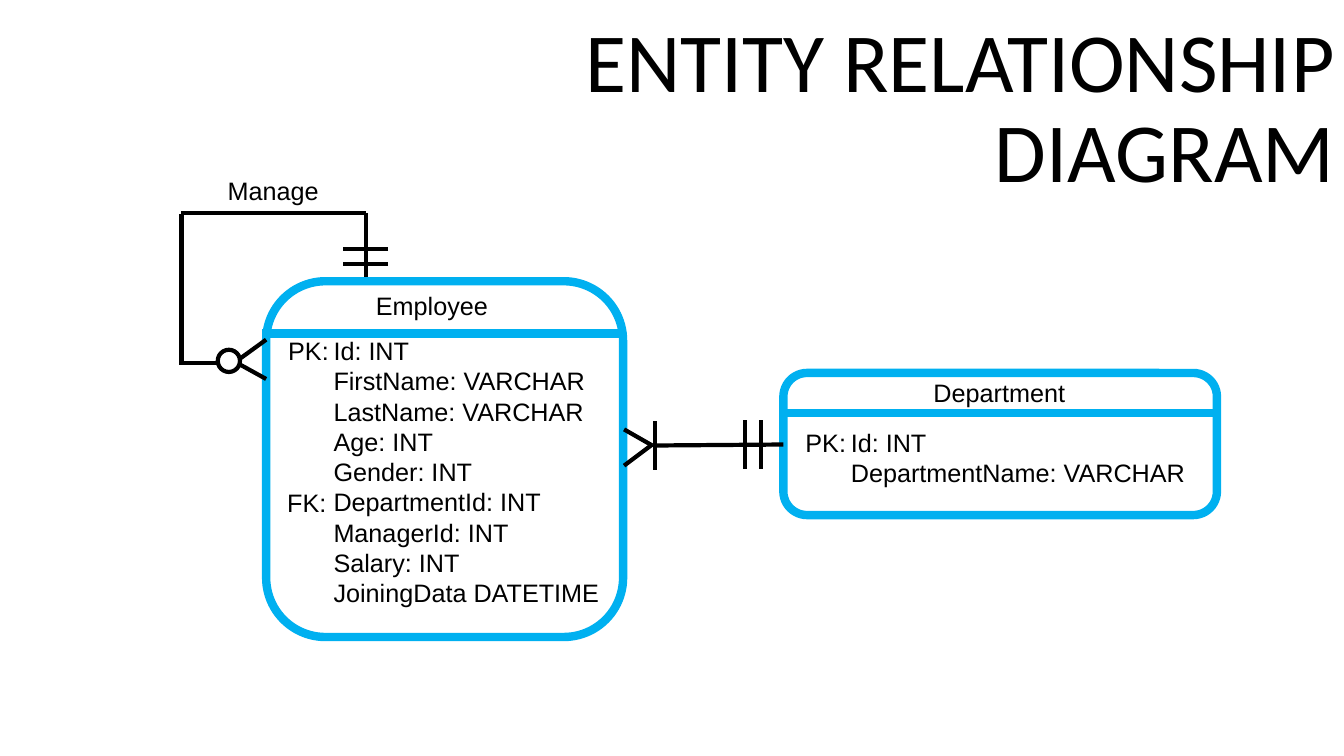
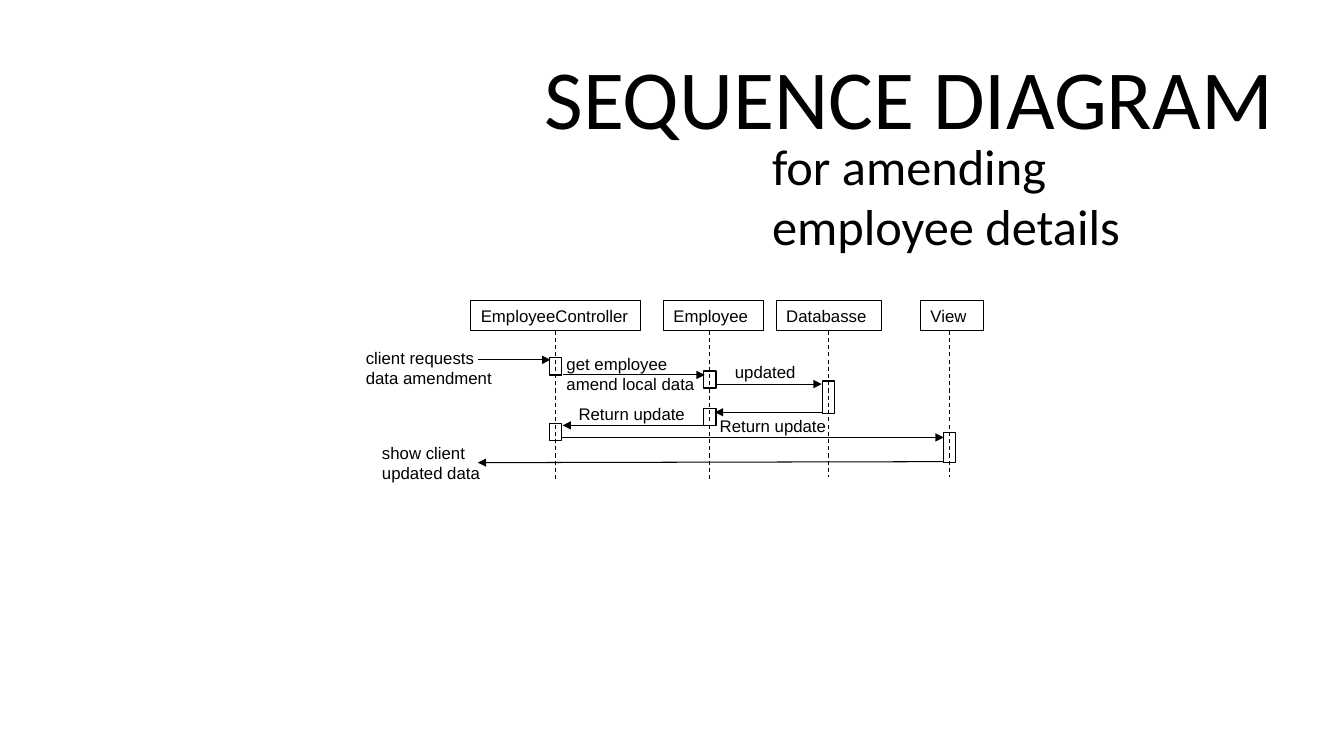
from pptx import Presentation
from pptx.dml.color import RGBColor
from pptx.enum import dml, shapes, text
from pptx.oxml import ns, xmlchemy as xml
from pptx.util import Inches, Pt

HUES = {"ink": "000000", "paper": "FFFFFF", "frame": "00B0F0"}
KIND = shapes.MSO_SHAPE
TITLE = {"font": "Calibri", "size": 60, "align": text.PP_ALIGN.RIGHT,
         "anchor": text.MSO_ANCHOR.MIDDLE, "space": 0.9, "grow": False}

# Entity: name, name spot, box, divider (left, right, top), keys, fields spot, fields
ENTITIES = [
    ("Employee", (3.63, 2.83, 1.32, 0.4), (2.64, 2.79, 3.54, 3.53), (2.6, 6.18, 3.31),
     [("PK:", (2.76, 3.28, 0.61, 0.4)), ("FK:", (2.75, 4.79, 0.59, 0.4))],
     (3.21, 3.28, 2.86, 2.83),
     ["Id: INT", "FirstName: VARCHAR", "LastName: VARCHAR", "Age: INT", "Gender: INT",
      "DepartmentId: INT", "ManagerId: INT", "Salary: INT", "JoiningData DATETIME"]),
    ("Department", (9.16, 3.69, 1.52, 0.4), (7.77, 3.7, 4.3, 1.41), (7.81, 12.06, 4.1),
     [("PK:", (7.89, 4.19, 0.61, 0.4))],
     (8.34, 4.19, 3.55, 1.01),
     ["Id: INT", "DepartmentName: VARCHAR"]),
]
MANAGE = [  # x1, y1, x2, y2
    (3.63, 2.75, 3.63, 2.11), (3.63, 2.11, 1.8, 2.11), (1.8, 3.58, 1.8, 2.12),
    (2.21, 3.6, 1.78, 3.6), (2.64, 3.37, 2.35, 3.58), (2.64, 3.76, 2.35, 3.6),
    (3.85, 2.47, 3.4, 2.47), (3.85, 2.62, 3.4, 2.62),
]
BELONGS = [
    (7.77, 4.41, 6.49, 4.42), (6.47, 4.41, 6.19, 4.62), (6.47, 4.42, 6.19, 4.26),
    (6.5, 4.18, 6.5, 4.66), (7.39, 4.17, 7.39, 4.65), (7.55, 4.17, 7.55, 4.65),
]

# Actor: name, head left, head width, lifeline x, lifeline end, bars (top, height)
ACTORS = [
    ("EmployeeController", 4.67, 1.68, 5.51, 4.78, [(3.55, 0.17), (4.2, 0.17)]),
    ("Employee", 6.58, 0.99, 7.04, 4.78, [(3.68, 0.17), (4.05, 0.17)]),
    ("Databasse", 7.7, 1.04, 8.22, 4.73, [(3.78, 0.32)]),
    ("View", 9.13, 0.63, 9.42, 4.73, [(4.29, 0.3)]),
]
HEAD_TOP, HEAD_H, BAR_W = 2.98, 0.3, 0.12
CALLS = [
    (4.74, 3.57, 5.46, 3.57), (5.58, 3.72, 6.99, 3.72), (7.11, 3.81, 8.15, 3.81),
    (8.15, 4.09, 7.09, 4.09), (6.98, 4.22, 5.58, 4.22), (5.57, 4.34, 9.36, 4.34),
    (9.36, 4.58, 4.74, 4.59),
]
NOTES = [
    ("client requests data amendment", (3.53, 3.4, 1.48, 0.5)),
    ("get employee\namend local data", (5.52, 3.46, 1.48, 0.5)),
    ("updated", (7.19, 3.54, 1.12, 0.3)),
    ("Return update", (7.04, 4.08, 1.27, 0.3)),
    ("Return update", (5.64, 3.96, 1.27, 0.3)),
    ("show client updated data", (3.69, 4.34, 1.48, 0.5)),
]


def hue(name):
    return RGBColor.from_string(HUES[name])


def write(shape, words, size, font="Arial", wrap=True, align=text.PP_ALIGN.LEFT,
          anchor=text.MSO_ANCHOR.TOP, space=None, grow=True):
    frame = shape.text_frame
    frame.text = words
    fit = text.MSO_AUTO_SIZE
    look = {"word_wrap": wrap, "vertical_anchor": anchor,
            "auto_size": fit.SHAPE_TO_FIT_TEXT if grow else fit.NONE}
    for key, val in look.items():
        setattr(frame, key, val)
    for para in frame.paragraphs:
        para.alignment = align
        para.line_spacing = space
        for run in para.runs:
            run.font.name = font
            run.font.size = Pt(size)
            run.font.color.rgb = hue("ink")


def label(slide, words, spot, size, **look):
    write(slide.shapes.add_textbox(*map(Inches, spot)), words, size, **look)


def box(slide, kind, spot, width, line="ink", fill=None):
    shape = slide.shapes.add_shape(kind, *map(Inches, spot))
    shape.shadow.inherit = False
    if fill:
        shape.fill.solid()
        shape.fill.fore_color.rgb = hue(fill)
    else:
        shape.fill.background()
    shape.line.color.rgb = hue(line)
    shape.line.width = Pt(width)
    return shape


def link(slide, ends, width, line="ink", dash=False, arrow=False):
    wire = slide.shapes.add_connector(shapes.MSO_CONNECTOR.STRAIGHT, *map(Inches, ends))
    wire.line.color.rgb = hue(line)
    wire.line.width = Pt(width)
    if dash:
        wire.line.dash_style = dml.MSO_LINE.DASH
    if arrow:
        tip = xml.OxmlElement("a:tailEnd")
        tip.set("type", "triangle")
        wire.line._get_or_add_ln().append(tip)
    props = wire._element.find(ns.qn("p:spPr"))
    props.append(xml.OxmlElement("a:effectLst"))


def start(deck, words, left, top):
    """Add a slide with its title in place."""
    slide = deck.slides.add_slide(deck.slide_layouts[5])
    title = slide.shapes.title
    spot = {"left": left, "top": top, "width": 9.42, "height": 1.41}
    for key, val in spot.items():
        setattr(title, key, Inches(val))
    write(title, words, **TITLE)
    return slide


def entities(deck):
    slide = start(deck, "ENTITY RELATIONSHIP DIAGRAM", 3.92, 0.39)
    for name, spot, frame, (left, right, top), keys, area, fields in ENTITIES:
        box(slide, KIND.ROUNDED_RECTANGLE, frame, 6, "frame")
        link(slide, (left, top, right, top), 6, "frame")
        for words, place in [(name, spot), ("\n".join(fields), area), *keys]:
            label(slide, words, place, 18, wrap=False)
    for ends in MANAGE + BELONGS:
        link(slide, ends, 3)
    box(slide, KIND.OVAL, (2.16, 3.47, 0.22, 0.22), 3, fill="paper")
    label(slide, "Manage", (2.16, 1.69, 1.11, 0.4), 18, wrap=False)


def sequence(deck):
    slide = start(deck, "SEQUENCE DIAGRAM", 3.31, 0.31)
    label(slide, "for amending employee details", (7.56, 1.29, 4.37, 0.71), 36,
          font="Calibri")
    for name, left, width, mid, end, bars in ACTORS:
        head = box(slide, KIND.RECTANGLE, (left, HEAD_TOP, width, HEAD_H), 0.75)
        write(head, name, 12)
        link(slide, (mid, HEAD_TOP + HEAD_H, mid, end), 0.75, dash=True)
        for top, height in bars:
            box(slide, KIND.RECTANGLE, (mid - BAR_W / 2, top, BAR_W, height), 1)
    for ends in CALLS:
        link(slide, ends, 0.75, arrow=True)
    for words, spot in NOTES:
        label(slide, words, spot, 12)


def main():
    deck = Presentation()
    deck.slide_width, deck.slide_height = Inches(13.33), Inches(7.5)
    entities(deck)
    sequence(deck)
    deck.save("out.pptx")


if __name__ == "__main__":
    main()
